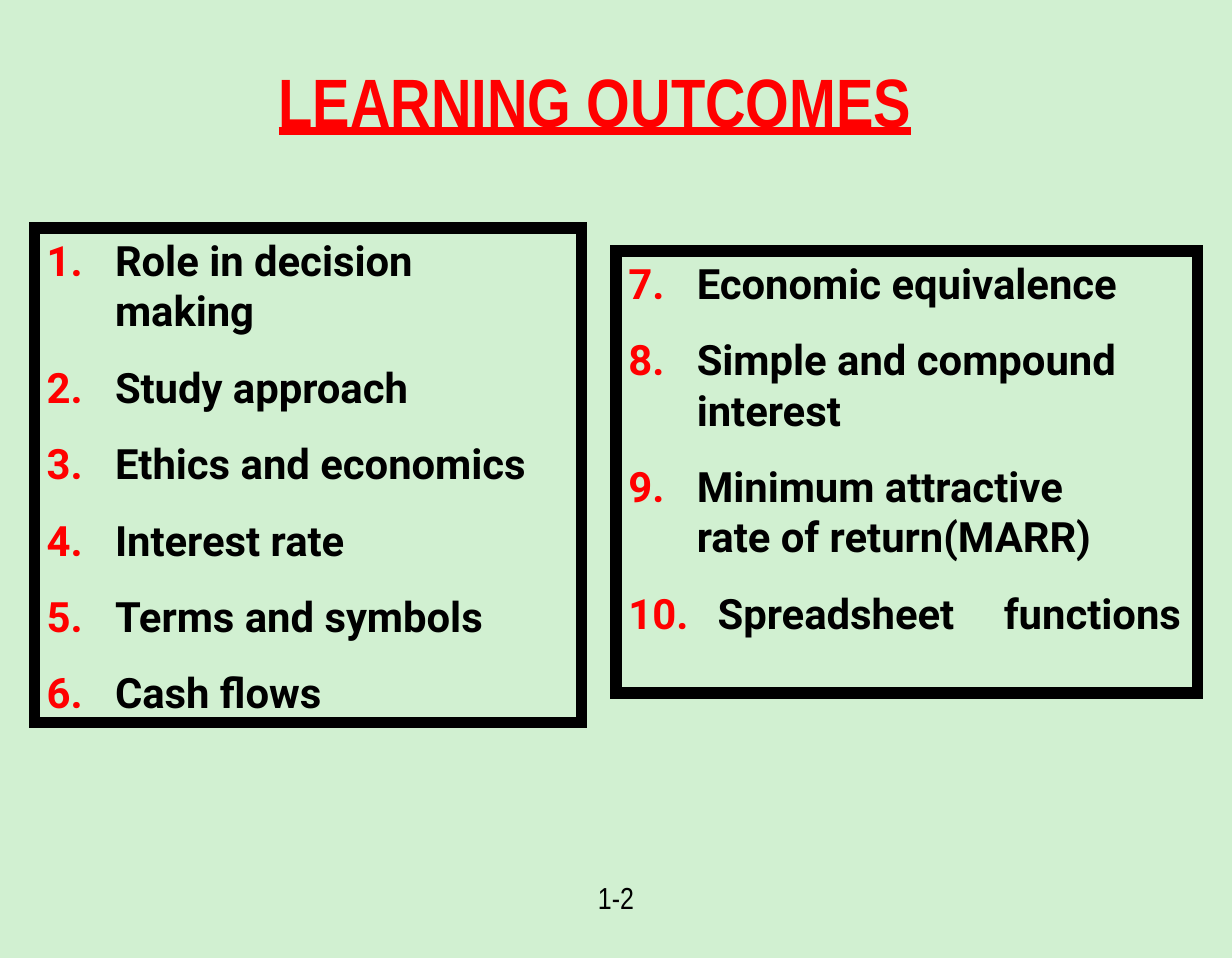
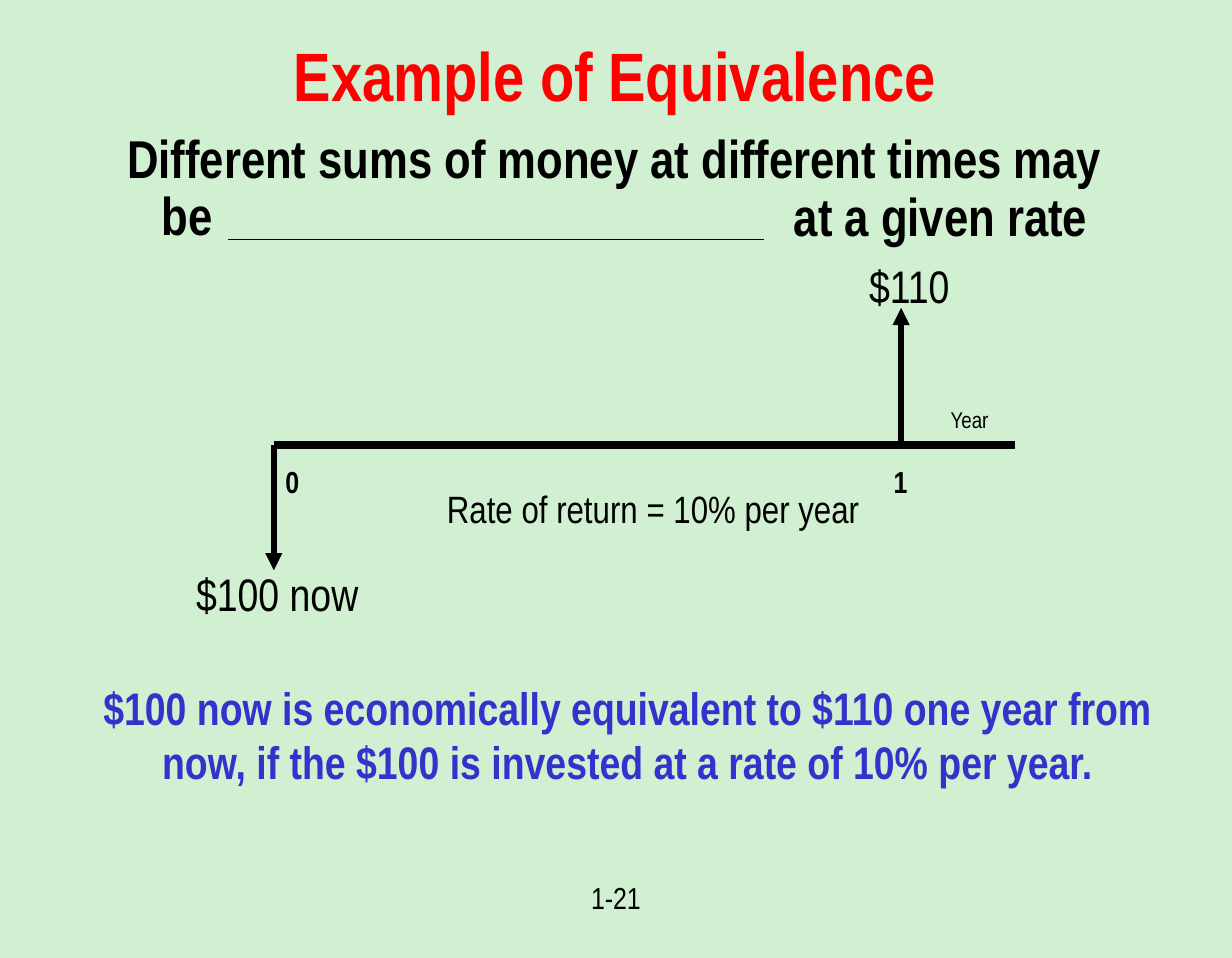
from dataclasses import dataclass

import copy
import pptx
import pptx.dml.color
import pptx.enum.shapes
import pptx.enum.text
import pptx.oxml
import pptx.oxml.ns
import pptx.util

Pt = pptx.util.Pt
ALIGN = pptx.enum.text.PP_ALIGN
ANCHOR = pptx.enum.text.MSO_ANCHOR
COLORS = {"background": "D1F0D1", "accent": "FF0000", "ink": "000000", "conclusion": "3333CC"}
NARROW, ROBOTO = "Arial Narrow", "Roboto"
HANG = 36


@dataclass(frozen=True)
class Box:
    left: float
    top: float
    width: float
    height: float

    def lengths(self) -> tuple:
        return tuple(Pt(v) for v in (self.left, self.top, self.width, self.height))


@dataclass(frozen=True)
class Style:
    size: float
    color: str = "ink"
    bold: bool = False
    underline: bool = False
    font: str = NARROW


@dataclass(frozen=True)
class Label:
    text: str
    box: Box
    style: Style
    centred: bool = False


@dataclass(frozen=True)
class Line:
    start: tuple[float, float]
    end: tuple[float, float]
    width: float
    arrow: bool = False


@dataclass(frozen=True)
class Item:
    lines: tuple[str, ...]
    indent: float = HANG
    tabs: tuple[float, ...] = ()


@dataclass(frozen=True)
class NumberedList:
    box: Box
    start: int
    items: tuple[Item, ...]


LIST_STYLE = Style(22, bold=True, font=ROBOTO)
LISTS = (
    NumberedList(Box(18, 120, 288, 260), 1, (
        Item(("Role in decision", "making")),
        Item(("Study approach",)),
        Item(("Ethics and economics",)),
        Item(("Interest rate",)),
        Item(("Terms and symbols",)),
        Item(("Cash flows",)),
    )),
    NumberedList(Box(324, 132, 306, 232.5), 7, (
        Item(("Economic equivalence",)),
        Item(("Simple and compound", "interest")),
        Item(("Minimum attractive", "rate of return(MARR)")),
        Item(("Spreadsheet\tfunctions",), 47, (197.5,)),
    )),
)

AXIS_Y, YEAR_0, YEAR_1, AXIS_END = 234, 144, 474, 534
LINES = (
    Line((YEAR_0, AXIS_Y), (AXIS_END, AXIS_Y), 4.5),
    Line((YEAR_0, AXIS_Y), (YEAR_0, 300), 3, True),
    Line((YEAR_1, AXIS_Y), (YEAR_1, 162), 3, True),
    Line((120, 126), (402, 126), 0.75),
)
STATEMENT, TICK, AMOUNT = Style(28, bold=True), Style(16, bold=True), Style(24)
LABELS = (
    Label("at a given rate", Box(410.5, 93, 185, 42), STATEMENT),
    Label("0", Box(143, 240, 30, 27), TICK),
    Label("1", Box(463, 240, 30, 27), TICK),
    Label("$100 now", Box(96, 294, 126, 36), AMOUNT),
    Label("$110", Box(450, 132, 60, 36), AMOUNT),
    Label("Rate of return = 10% per year", Box(228, 252, 240, 32), Style(20)),
    Label("$100 now is economically equivalent to $110 one year from now, "
          "if the $100 is invested at a rate of 10% per year.",
          Box(24, 354, 612, 65), Style(24, "conclusion", True), True),
    Label("Year", Box(486, 210, 48, 22), Style(12), True),
)


def rgb(name: str) -> pptx.dml.color.RGBColor:
    return pptx.dml.color.RGBColor.from_string(COLORS[name])


def add_child(parent, tag: str, **attrs: str):
    child = parent.makeelement(pptx.oxml.ns.qn(f"a:{tag}"), attrs)
    parent.append(child)
    return child


def add_text(p, lines: tuple[str, ...], style: Style) -> None:
    for n, line in enumerate(lines):
        if n:
            p.add_line_break()
            br = p._p[-1]
        r = p.add_run()
        r.text = line
        r.font.name, r.font.size = style.font, Pt(style.size)
        r.font.bold = style.bold
        if style.underline:
            r.font.underline = True
        r.font.color.rgb = rgb(style.color)
        if n:
            br.append(copy.deepcopy(r._r.rPr))


def set_indent(p, left: float, first: float) -> None:
    pPr = p._p.get_or_add_pPr()
    pPr.set("marL", str(Pt(left)))
    pPr.set("indent", str(Pt(first)))


def add_tabs(p, stops: tuple[float, ...]) -> None:
    if stops:
        tabs = add_child(p._p.get_or_add_pPr(), "tabLst")
        for stop in stops:
            add_child(tabs, "tab", pos=str(Pt(stop)), algn="l")


def place(sp, box: Box, anchor=ANCHOR.TOP):
    sp.left, sp.top, sp.width, sp.height = box.lengths()
    tf = sp.text_frame
    tf.word_wrap = True
    tf.auto_size = pptx.enum.text.MSO_AUTO_SIZE.NONE
    tf.vertical_anchor = anchor
    tf.margin_left = tf.margin_right = Pt(6.5)
    tf.margin_top = tf.margin_bottom = Pt(3.6)
    return tf


def add_label(s, label: Label) -> None:
    sp = s.shapes.add_textbox(*label.box.lengths())
    tf = sp.text_frame
    tf.word_wrap = True
    p = tf.paragraphs[0]
    p.alignment = ALIGN.CENTER if label.centred else ALIGN.LEFT
    add_text(p, (label.text,), label.style)


def add_line(s, line: Line) -> None:
    points = [Pt(v) for v in (*line.start, *line.end)]
    sp = s.shapes.add_connector(pptx.enum.shapes.MSO_CONNECTOR.STRAIGHT, *points)
    sp.line.color.rgb = rgb("ink")
    sp.line.width = Pt(line.width)
    if line.arrow:
        add_child(sp.line._get_or_add_ln(), "tailEnd", type="triangle")
    add_child(sp._element.spPr, "effectLst")


def fill_list(sp, numbered: NumberedList) -> None:
    tf = place(sp, numbered.box)
    sp.line.color.rgb = rgb("ink")
    sp.line.width = Pt(6)
    add_child(sp.line._get_or_add_ln(), "miter", lim="800000")
    for n, item in enumerate(numbered.items):
        p = tf.add_paragraph() if n else tf.paragraphs[0]
        p.space_before = Pt(13.8)
        set_indent(p, item.indent, -item.indent)
        pPr = p._p.get_or_add_pPr()
        add_child(add_child(pPr, "buClr"), "srgbClr", val=COLORS["accent"])
        add_child(pPr, "buFont", typeface=ROBOTO)
        add_child(pPr, "buAutoNum", type="arabicPeriod", startAt=str(numbered.start))
        add_tabs(p, item.tabs)
        add_text(p, item.lines, LIST_STYLE)


def fill_statement(sp) -> None:
    tf = place(sp, Box(54, 66, 551, 72))
    p = tf.paragraphs[0]
    p.line_spacing = 0.9
    p.space_before = Pt(7)
    set_indent(p, 24.5, -18)
    add_child(p._p.get_or_add_pPr(), "buNone")
    add_text(p, ("Different sums of money at different times may", "be"), STATEMENT)


def add_slide(prs, layout: int, title: str, box: Box, number: str, underline: bool = False):
    s = prs.slides.add_slide(prs.slide_layouts[layout])
    p = place(s.shapes.title, box, ANCHOR.MIDDLE).paragraphs[0]
    p.alignment = ALIGN.CENTER
    add_text(p, (title,), Style(36, "accent", True, underline))
    add_label(s, Label(number, Box(281, 459, 86, 34), Style(16), True))
    return s


def add_outcomes(prs) -> None:
    s = add_slide(prs, 3, "LEARNING OUTCOMES", Box(37.5, 16.5, 551, 72), "1-2", True)
    for idx, numbered in enumerate(LISTS, 1):
        fill_list(s.placeholders[idx], numbered)


def add_equivalence(prs) -> None:
    s = add_slide(prs, 1, "Example of Equivalence", Box(48, 12, 551, 54), "1-21")
    fill_statement(s.placeholders[1])
    for line in LINES:
        add_line(s, line)
    for label in LABELS:
        add_label(s, label)


def main() -> None:
    prs = pptx.Presentation()
    prs.slide_width, prs.slide_height = Pt(648), Pt(504)
    fill = prs.slide_master.background.fill
    fill.solid()
    fill.fore_color.rgb = rgb("background")
    add_outcomes(prs)
    add_equivalence(prs)
    prs.save("out.pptx")


if __name__ == "__main__":
    main()
